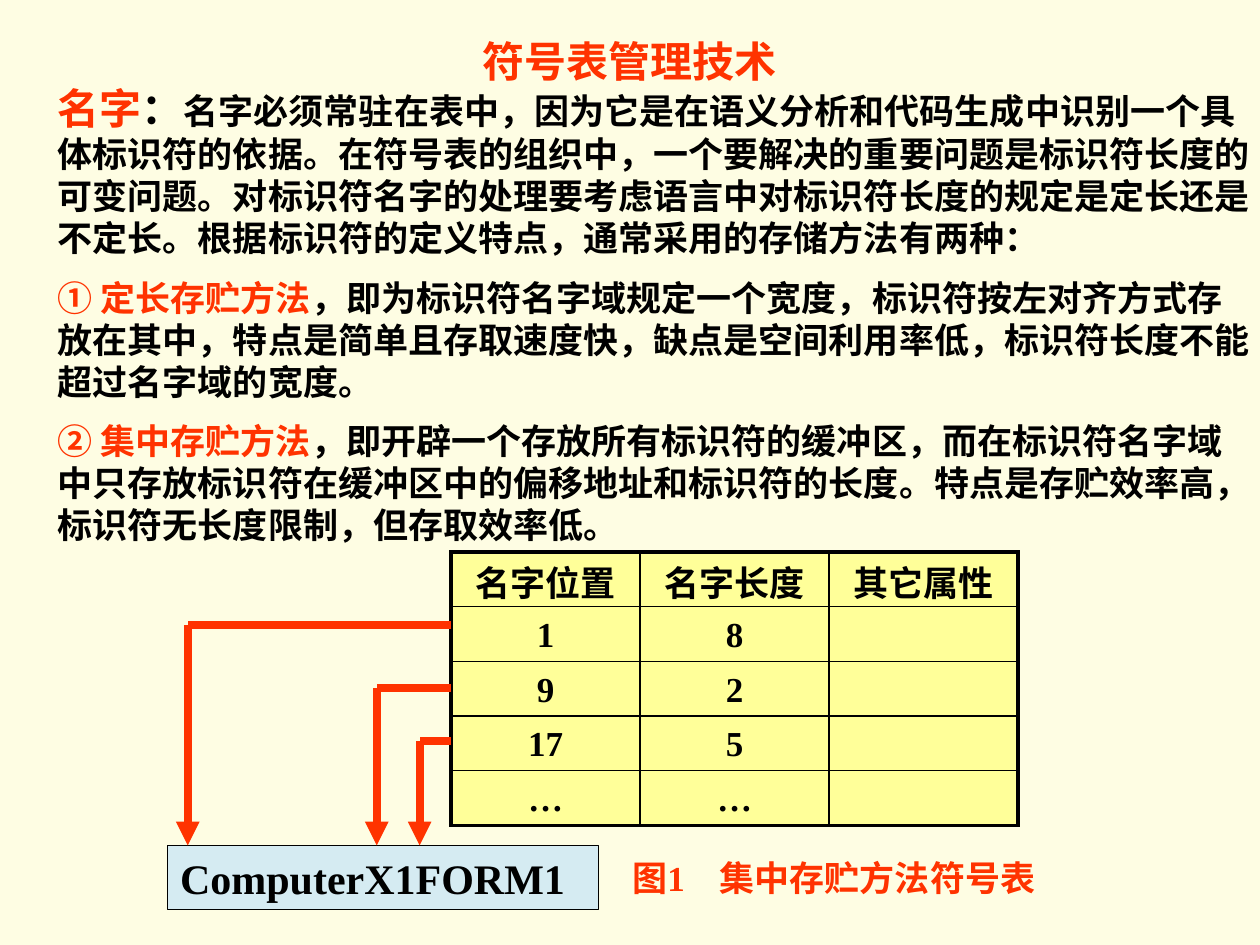
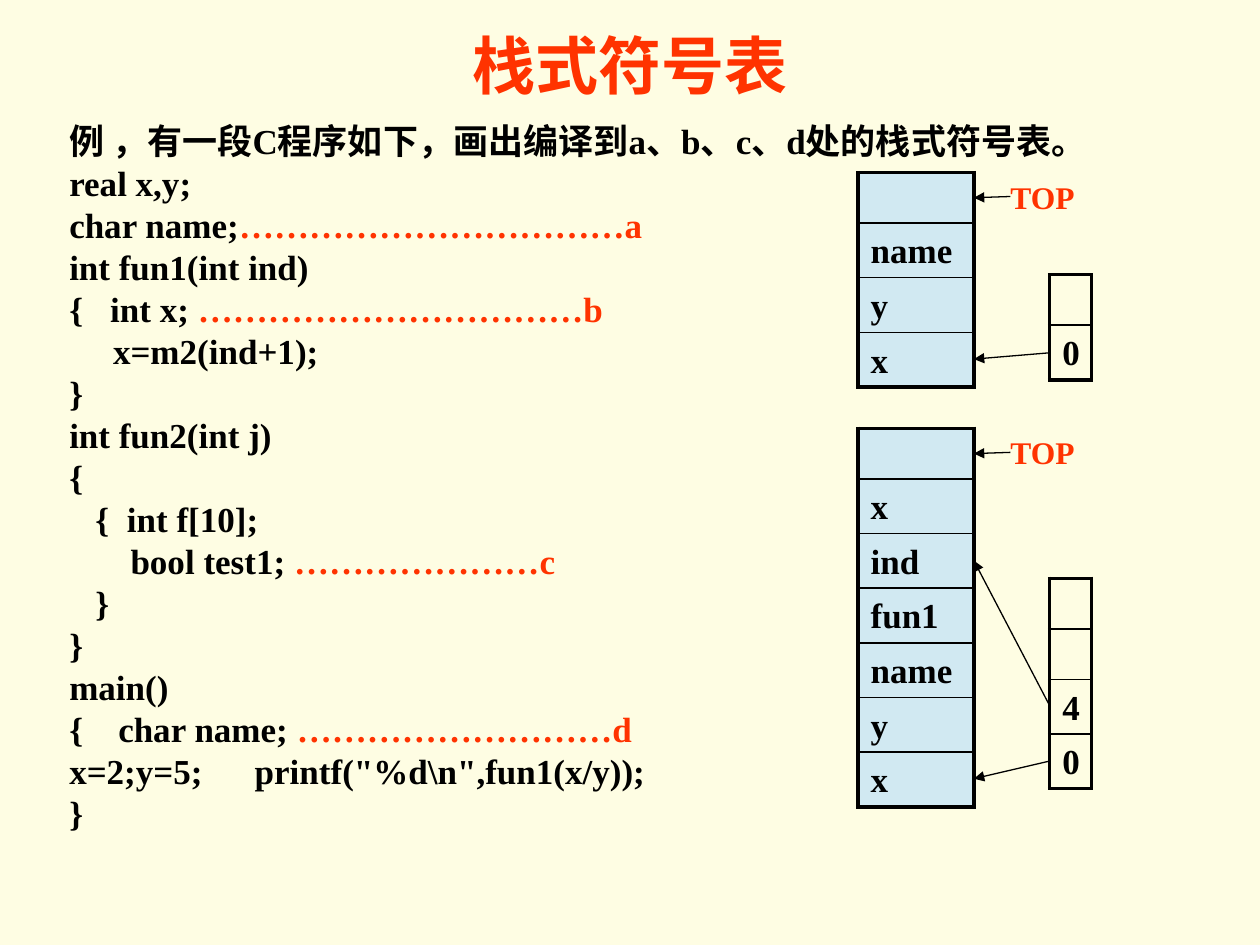
from dataclasses import dataclass

from lxml import etree
from pptx import Presentation
from pptx.dml.color import RGBColor
from pptx.enum.shapes import MSO_CONNECTOR, MSO_SHAPE
from pptx.enum.text import MSO_ANCHOR, PP_ALIGN
from pptx.oxml.ns import qn
from pptx.util import Pt

STRAIGHT = MSO_CONNECTOR.STRAIGHT
RECTANGLE = MSO_SHAPE.RECTANGLE
TOP, MIDDLE = MSO_ANCHOR.TOP, MSO_ANCHOR.MIDDLE
LEFT, CENTER = PP_ALIGN.LEFT, PP_ALIGN.CENTER


@dataclass(frozen=True)
class Theme:
    background: str = "FEFDE3"
    accent: str = "FF3300"
    ink: str = "000000"
    buffer: str = "D5EBF2"
    stack: str = "D1E9F2"
    table: str = "FFFF99"
    cjk: str = "Noto Sans CJK SC"
    latin: str = "Times New Roman"
    headline: float = 36
    heading: float = 24
    body: float = 20
    label: float = 18
    outer_border: float = 2.25
    inner_border: float = 1
    thin: float = 0.75
    thick: float = 4.5
    text_row: float = 31.2
    empty_row: float = 28.8
    padding: float = 7.2


THEME = Theme()


def rgb(value):
    return RGBColor.from_string(value)


def add_run(paragraph, text, color=THEME.ink, size=THEME.body, font=THEME.latin):
    run = paragraph.add_run()
    run.text = text
    run.font.name = font
    run.font.size = Pt(size)
    run.font.bold = True
    run.font.color.rgb = rgb(color)
    east_asian = etree.SubElement(run.font._element, qn("a:ea"))
    east_asian.set("typeface", THEME.cjk)


def set_tabs(paragraph, positions):
    properties = paragraph._p.get_or_add_pPr()
    tab_list = etree.SubElement(properties, qn("a:tabLst"))
    for position in positions:
        etree.SubElement(tab_list, qn("a:tab"), pos=str(Pt(position)), algn="l")


def set_frame(frame, margins, anchor=TOP):
    frame.word_wrap = True
    frame.vertical_anchor = anchor
    (frame.margin_left, frame.margin_top,
     frame.margin_right, frame.margin_bottom) = [Pt(margin) for margin in margins]


def add_text_box(slide, box, margins=(7.2, 3.6, 7.2, 3.6), anchor=TOP):
    shape = slide.shapes.add_textbox(*[Pt(length) for length in box])
    set_frame(shape.text_frame, margins, anchor)
    return shape.text_frame


def add_rectangle(slide, box, fill, margins, anchor=TOP):
    shape = slide.shapes.add_shape(RECTANGLE, *[Pt(length) for length in box])
    shape.shadow.inherit = False
    shape.fill.solid()
    shape.fill.fore_color.rgb = rgb(fill)
    set_frame(shape.text_frame, margins, anchor)
    return shape


def add_line(slide, start, end, color, width, arrow=False):
    connector = slide.shapes.add_connector(
        STRAIGHT, *[Pt(length) for length in (*start, *end)])
    connector.line.color.rgb = rgb(color)
    connector.line.width = Pt(width)
    properties = connector.element.spPr
    if arrow:
        etree.SubElement(properties.find(qn("a:ln")), qn("a:tailEnd"), type="triangle")
    etree.SubElement(properties, qn("a:effectLst"))


def set_border(cell, side, width):
    line = etree.SubElement(cell._tc.get_or_add_tcPr(), qn("a:ln" + side), w=str(Pt(width)))
    fill = etree.SubElement(line, qn("a:solidFill"))
    etree.SubElement(fill, qn("a:srgbClr"), val=THEME.ink)


def add_grid(slide, left, top, column_width, rows, fill, align=LEFT, header=False):
    heights = [THEME.text_row if any(row) else THEME.empty_row for row in rows]
    columns = len(rows[0])
    table = slide.shapes.add_table(
        len(rows), columns, Pt(left), Pt(top),
        Pt(column_width * columns), Pt(sum(heights))).table
    table.first_row = table.horz_banding = False
    for column in table.columns:
        column.width = Pt(column_width)
    for row_index, (row, height) in enumerate(zip(rows, heights)):
        table.rows[row_index].height = Pt(height)
        for column_index, text in enumerate(row):
            cell = table.cell(row_index, column_index)
            edges = {"L": column_index == 0, "R": column_index == columns - 1,
                     "T": row_index == 0, "B": row_index == len(rows) - 1}
            for side, is_outer in edges.items():
                set_border(cell, side, THEME.outer_border if is_outer else THEME.inner_border)
            cell.fill.solid()
            cell.fill.fore_color.rgb = rgb(fill)
            is_header = header and row_index == 0
            cell.margin_left = Pt(THEME.padding)
            cell.margin_right = Pt(THEME.padding if align == CENTER else 0)
            cell.margin_top = Pt(THEME.padding if is_header else THEME.padding / 2)
            cell.margin_bottom = Pt(0 if is_header else THEME.padding / 2)
            paragraph = cell.text_frame.paragraphs[0]
            paragraph.alignment = align
            paragraph.line_spacing = Pt(24 if text else 20)
            if text:
                add_run(paragraph, text)


def add_title(slide, text, top, size):
    frame = add_text_box(slide, (54, top, 612, 36), anchor=MIDDLE)
    paragraph = frame.paragraphs[0]
    paragraph.alignment = CENTER
    add_run(paragraph, text, THEME.accent, size, THEME.cjk)


def add_explanation(slide, box):
    frame = add_text_box(slide, box, (7.2, 10.8, 7.2, 3.6))
    for index, runs in enumerate(EXPLANATION):
        paragraph = frame.paragraphs[0] if index == 0 else frame.add_paragraph()
        paragraph.line_spacing = Pt(24)
        paragraph.space_before = Pt(10 if index else 0)
        for text, color, size in runs:
            add_run(paragraph, text, color, size, THEME.cjk)


def add_storage_diagram(slide, left, top):
    table_left, buffer_top = left + 162, top + 167.7
    buffer = add_rectangle(slide, (left, buffer_top, 246.2, 36.7), THEME.buffer,
                           (7.2, 3.6, 7.2, 3.6), MIDDLE)
    buffer.line.color.rgb = rgb(THEME.ink)
    buffer.line.width = Pt(THEME.thin)
    paragraph = buffer.text_frame.paragraphs[0]
    paragraph.alignment = LEFT
    add_run(paragraph, "ComputerX1FORM1", size=THEME.heading)

    add_grid(slide, table_left, top, 108, NAME_TABLE, THEME.table, CENTER, header=True)
    for x, y in ((11.5, 41.7), (119.5, 77.7), (144, 108)):
        corner = (left + x, top + y)
        add_line(slide, (table_left, top + y), corner, THEME.accent, THEME.thick)
        add_line(slide, corner, (left + x, buffer_top), THEME.accent, THEME.thick, arrow=True)

    caption = add_text_box(slide, (left + 258.4, top + 170.6, 257.8, 31)).paragraphs[0]
    caption.line_spacing = Pt(24)
    set_tabs(caption, (50,))
    add_run(caption, "图1\t集中存贮方法符号表", THEME.accent)


def add_code(slide, box):
    shape = add_rectangle(slide, box, THEME.background, (21.6, 3.6, 0, 3.6))
    shape.line.fill.background()
    frame = shape.text_frame
    for index, (text, mark, tabs) in enumerate(CODE):
        paragraph = frame.paragraphs[0] if index == 0 else frame.add_paragraph()
        paragraph.alignment = LEFT
        paragraph.line_spacing = Pt(24)
        if tabs:
            set_tabs(paragraph, tabs)
        add_run(paragraph, text)
        if mark:
            add_run(paragraph, mark, THEME.accent)


def add_stack_diagram(slide, left, top, names, levels, levels_top, links):
    stack_width, levels_left = 66.2, left + 109.5
    stack_right, label_left = left + stack_width, left + 87.1
    add_grid(slide, left, top, stack_width, [[name] for name in names], THEME.stack)
    add_grid(slide, levels_left, top + levels_top, 24,
             [[level] for level in levels], THEME.background)
    for start, end in links:
        add_line(slide, (levels_left, top + start), (stack_right, top + end),
                 THEME.ink, THEME.thin, arrow=True)
    label = add_text_box(slide, (label_left, top + 2.9, 54, 21.6), (0, 0, 0, 0)).paragraphs[0]
    label.line_spacing = Pt(21.6)
    add_run(label, "TOP", THEME.accent, THEME.label)
    add_line(slide, (label_left, top + 13.7), (stack_right, top + 14.4),
             THEME.ink, THEME.thin, arrow=True)


EXPLANATION = [
    [("名字", THEME.accent, THEME.heading), ("：", THEME.ink, THEME.heading),
     ("名字必须常驻在表中，因为它是在语义分析和代码生成中识别一个具体标识符的依据。"
      "在符号表的组织中，一个要解决的重要问题是标识符长度的可变问题。"
      "对标识符名字的处理要考虑语言中对标识符长度的规定是定长还是不定长。"
      "根据标识符的定义特点，通常采用的存储方法有两种：", THEME.ink, THEME.body)],
    [("① 定长存贮方法", THEME.accent, THEME.body),
     ("，即为标识符名字域规定一个宽度，标识符按左对齐方式存放在其中，"
      "特点是简单且存取速度快，缺点是空间利用率低，标识符长度不能超过名字域的宽度。",
      THEME.ink, THEME.body)],
    [("② 集中存贮方法", THEME.accent, THEME.body),
     ("，即开辟一个存放所有标识符的缓冲区，而在标识符名字域中只存放标识符在缓冲区中的"
      "偏移地址和标识符的长度。特点是存贮效率高，标识符无长度限制，但存取效率低。",
      THEME.ink, THEME.body)],
]

NAME_TABLE = [
    ["名字位置", "名字长度", "其它属性"],
    ["1", "8", ""],
    ["9", "2", ""],
    ["17", "5", ""],
    ["…", "…", ""],
]

CODE = [
    ("例 ，有一段C程序如下，画出编译到a、b、c、d处的栈式符号表。", "", ()),
    ("real x,y;", "", ()),
    ("char name;", "…" * 11 + "a", ()),
    ("int fun1(int ind)", "", ()),
    ("{\tint x; ", "…" * 11 + "b", (23.4,)),
    ("\tx=m2(ind+1);", "", (25,)),
    ("}", "", ()),
    ("int fun2(int j)", "", ()),
    ("{", "", ()),
    ("\t{\tint f[10];", "", (15, 33)),
    ("\tbool test1; ", "…" * 7 + "c", (35,)),
    ("\t}", "", (15,)),
    ("}", "", ()),
    ("main()", "", ()),
    ("{\tchar name; ", "…" * 9 + "d", (28,)),
    ("x=2;y=5;\tprintf(\"%d\\n\",fun1(x/y));", "", (106,)),
    ("}", "", ()),
]


def new_slide(presentation):
    slide = presentation.slides.add_slide(presentation.slide_layouts[6])
    slide.background.fill.solid()
    slide.background.fill.fore_color.rgb = rgb(THEME.background)
    return slide


def build_name_storage(presentation):
    slide = new_slide(presentation)
    add_title(slide, "符号表管理技术", 16.6, THEME.heading)
    add_explanation(slide, (25.9, 41, 696.2, 275.8))
    add_storage_diagram(slide, 95.8, 315.4)


def build_stack_table(presentation):
    slide = new_slide(presentation)
    add_title(slide, "栈式符号表", 18.7, THEME.headline)
    add_code(slide, (18, 64.8, 684, 415.4))
    add_stack_diagram(slide, 490.3, 98.6, ["", "name", "y", "x"],
                      ["", "0"], 58.4, [(103, 106.6)])
    add_stack_diagram(slide, 490.3, 244.8, ["", "x", "ind", "fun1", "name", "y", "x"],
                      ["", "", "4", "0"], 85.7, [(190.1, 200.2), (158.4, 75.6)])


presentation = Presentation()
presentation.slide_width, presentation.slide_height = Pt(720), Pt(540)
build_name_storage(presentation)
build_stack_table(presentation)
presentation.save("out.pptx")
